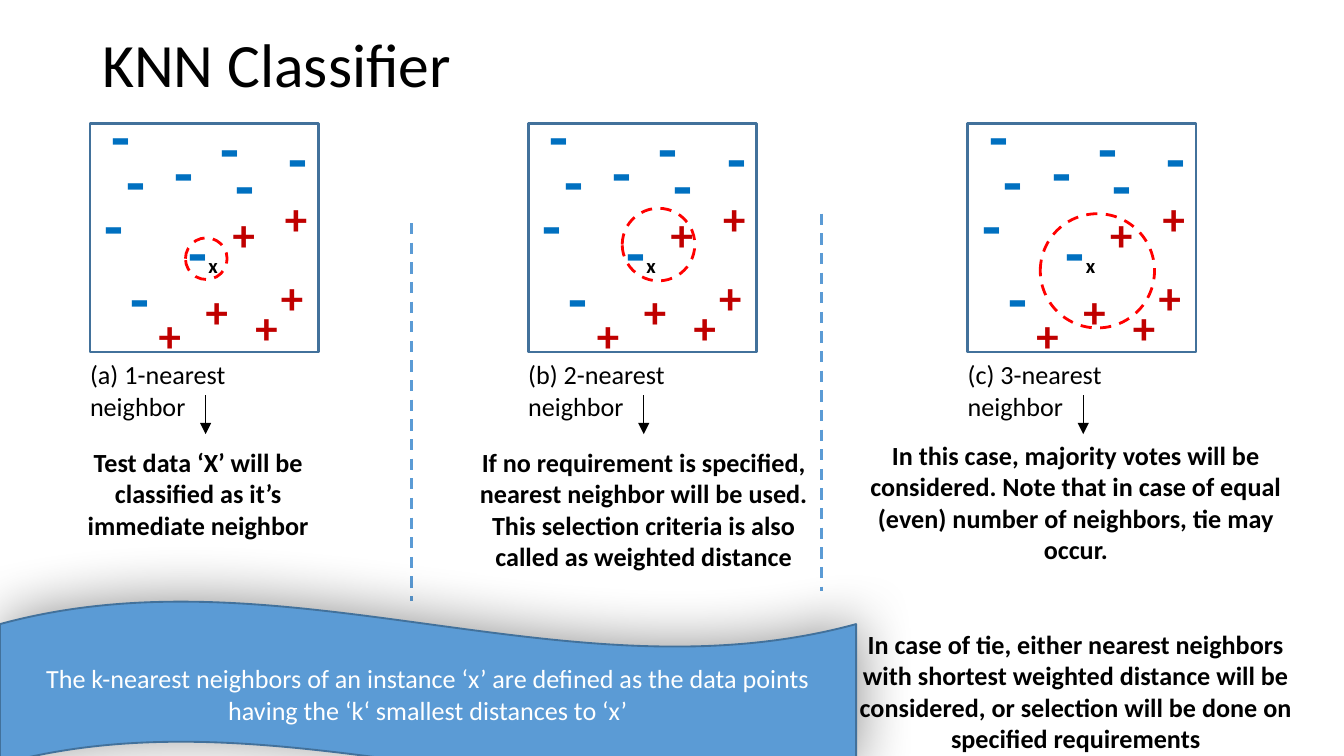
import pptx
import pptx.util
import pptx.dml.color
import pptx.enum.dml
import pptx.enum.shapes
import pptx.enum.text
import pptx.oxml
import pptx.oxml.ns
from pptx.util import Inches

FONT = "Calibri"
COLORS = {
    "text": "000000",
    "minus": "0070C0",
    "plus": "C00000",
    "circle": "FF0000",
    "frame": "42719B",
    "accent": "5B9BD5",
    "white": "FFFFFF",
}
SHAPES = pptx.enum.shapes.MSO_SHAPE
CENTER = pptx.enum.text.PP_ALIGN.CENTER
MIDDLE = pptx.enum.text.MSO_ANCHOR.MIDDLE

# Offsets of the data points from the left edge of a plot, and tops on the slide
MINUSES = [(0.09, 0.69), (0.9, 0.78), (1.41, 0.85), (0.2, 1.02), (0.56, 0.96),
           (1.01, 1.05), (0.04, 1.35), (0.66, 1.55), (0.23, 1.89)]
PLUSES = [(0.99, 1.5), (1.38, 1.38), (1.35, 1.97), (0.79, 2.07), (1.16, 2.19),
          (0.44, 2.25)]

# Plot left, circle (offset, top, diameter), caption, explanation box, explanation
PANELS = [
    (0.67, (0.71, 1.77, 0.31), "(a) 1-nearest neighbor", (0.55, 3.28, 1.85, 0.76),
     ["Test data ‘X’ will be classified as it’s immediate neighbor"]),
    (3.93, (0.7, 1.55, 0.54), "(b) 2-nearest neighbor", (3.48, 3.28, 2.62, 0.98),
     ["If no requirement is specified, nearest neighbor will be used. "
      "This selection criteria is also called as weighted distance"]),
    (7.2, (0.54, 1.59, 0.85), "(c) 3-nearest neighbor", (6.23, 3.23, 3.55, 2.12),
     ["In this case, majority votes will be considered. Note that in case of equal "
      "(even) number of neighbors, tie may occur.",
      "In case of tie, either nearest neighbors with shortest weighted distance will "
      "be considered, or selection will be done on specified requirements"]),
]


def rgb(name):
    return pptx.dml.color.RGBColor.from_string(COLORS[name])


def write_text(shape, texts, size, color="text", bold=False, align=None, gap=0):
    """Fill a shape with paragraphs, gap points apart."""
    frame = shape.text_frame
    frame.word_wrap = True
    frame.margin_left = frame.margin_right = Inches(0.07)
    frame.margin_top = frame.margin_bottom = Inches(0.04)
    for index, text in enumerate(texts):
        para = frame.add_paragraph() if index else frame.paragraphs[0]
        para.text = text
        para.alignment = align
        para.space_before = pptx.util.Pt(gap if index else 0)
        para.font.name = FONT
        para.font.size = pptx.util.Pt(size)
        para.font.bold = bold
        para.font.color.rgb = rgb(color)


def add_text(shapes, place, texts, size, **style):
    box = shapes.add_textbox(*map(Inches, place))
    write_text(box, texts, size, **style)
    return box


def add_outline(shapes, kind, place, color, width=1.5, dashed=False):
    """Add an unfilled preset shape without shadow."""
    shape = shapes.add_shape(kind, *map(Inches, place))
    shape.shadow.inherit = False
    shape.fill.background()
    style_line(shape.line, color, width, dashed)
    return shape


def style_line(line, color, width, dashed=False):
    line.color.rgb = rgb(color)
    line.width = pptx.util.Pt(width)
    if dashed:
        line.dash_style = pptx.enum.dml.MSO_LINE.DASH


def add_vertical(shapes, x, top, bottom, color, width, dashed=False, arrow=False):
    connector = shapes.add_connector(
        pptx.enum.shapes.MSO_CONNECTOR.STRAIGHT,
        Inches(x), Inches(top), Inches(x), Inches(bottom))
    style_line(connector.line, color, width, dashed)
    if arrow:
        head = pptx.oxml.parse_xml(
            f'<a:tailEnd {pptx.oxml.ns.nsdecls("a")} type="triangle"/>')
        connector.line._get_or_add_ln().append(head)
    connector._element.spPr.append(
        pptx.oxml.parse_xml(f'<a:effectLst {pptx.oxml.ns.nsdecls("a")}/>'))


def add_panel(page, left, circle, caption, place, explanation):
    """Add one plot with its circle, caption, arrow and explanation as a group."""
    shapes = page.shapes.add_group_shape().shapes
    add_outline(shapes, SHAPES.RECTANGLE, (left, 0.92, 1.7, 1.7), "frame")
    for offset, top in MINUSES:
        add_text(shapes, (left + offset, top, 0.29, 0.62), ["-"], 33,
                 color="minus", bold=True)
    for offset, top in PLUSES:
        add_text(shapes, (left + offset, top, 0.32, 0.48), ["+"], 24,
                 color="plus", bold=True)
    add_text(shapes, (left + 0.81, 1.84, 0.22, 0.26), ["x"], 11, bold=True)
    offset, top, diameter = circle
    add_outline(shapes, SHAPES.OVAL, (left + offset, top, diameter, diameter),
                "circle", dashed=True)
    add_text(shapes, (left - 0.07, 2.63, 1.86, 0.3), [caption], 14)
    add_vertical(shapes, left + 0.86, 2.94, 3.23, "text", 0.75, arrow=True)
    add_text(shapes, place, explanation, 14, bold=True, align=CENTER, gap=34)


def add_banner(page, place, text):
    """Add the wave with its soft shadow."""
    wave = add_outline(page.shapes, SHAPES.WAVE, place, "frame", 1)
    wave.adjustments[0] = 0.125
    wave.adjustments[1] = 0
    wave.fill.solid()
    wave.fill.fore_color.rgb = rgb("accent")
    effects = wave._element.spPr.find(pptx.oxml.ns.qn("a:effectLst"))
    effects.append(pptx.oxml.parse_xml(
        f'<a:outerShdw {pptx.oxml.ns.nsdecls("a")} blurRad="{pptx.util.Pt(30)}" '
        f'dist="{pptx.util.Pt(3)}" dir="18900000" algn="bl" rotWithShape="0">'
        f'<a:srgbClr val="{COLORS["text"]}"><a:alpha val="40000"/></a:srgbClr>'
        '</a:outerShdw>'))
    write_text(wave, [text], 14, color="white", align=CENTER)
    wave.text_frame.vertical_anchor = MIDDLE


def main():
    deck = pptx.Presentation()
    deck.slide_width = Inches(10)
    deck.slide_height = Inches(10) * 9 // 16
    page = deck.slides.add_slide(deck.slide_layouts[6])

    title = add_text(page.shapes, (0.69, 0.13, 4.68, 0.74), ["KNN Classifier"], 33)
    title.text_frame.vertical_anchor = MIDDLE
    title.text_frame.paragraphs[0].line_spacing = 0.9

    for panel in PANELS:
        add_panel(page, *panel)
    for x, top in [(3.06, 1.66), (6.11, 1.59)]:
        add_vertical(page.shapes, x, top, top + 2.81, "accent", 1.5, dashed=True)
    add_banner(page, (0, 4.47, 6.37, 1.39),
               "The k-nearest neighbors of an instance ‘x’ are defined as the data "
               "points having the ‘k‘ smallest distances to ‘x’")
    deck.save("out.pptx")


if __name__ == "__main__":
    main()
